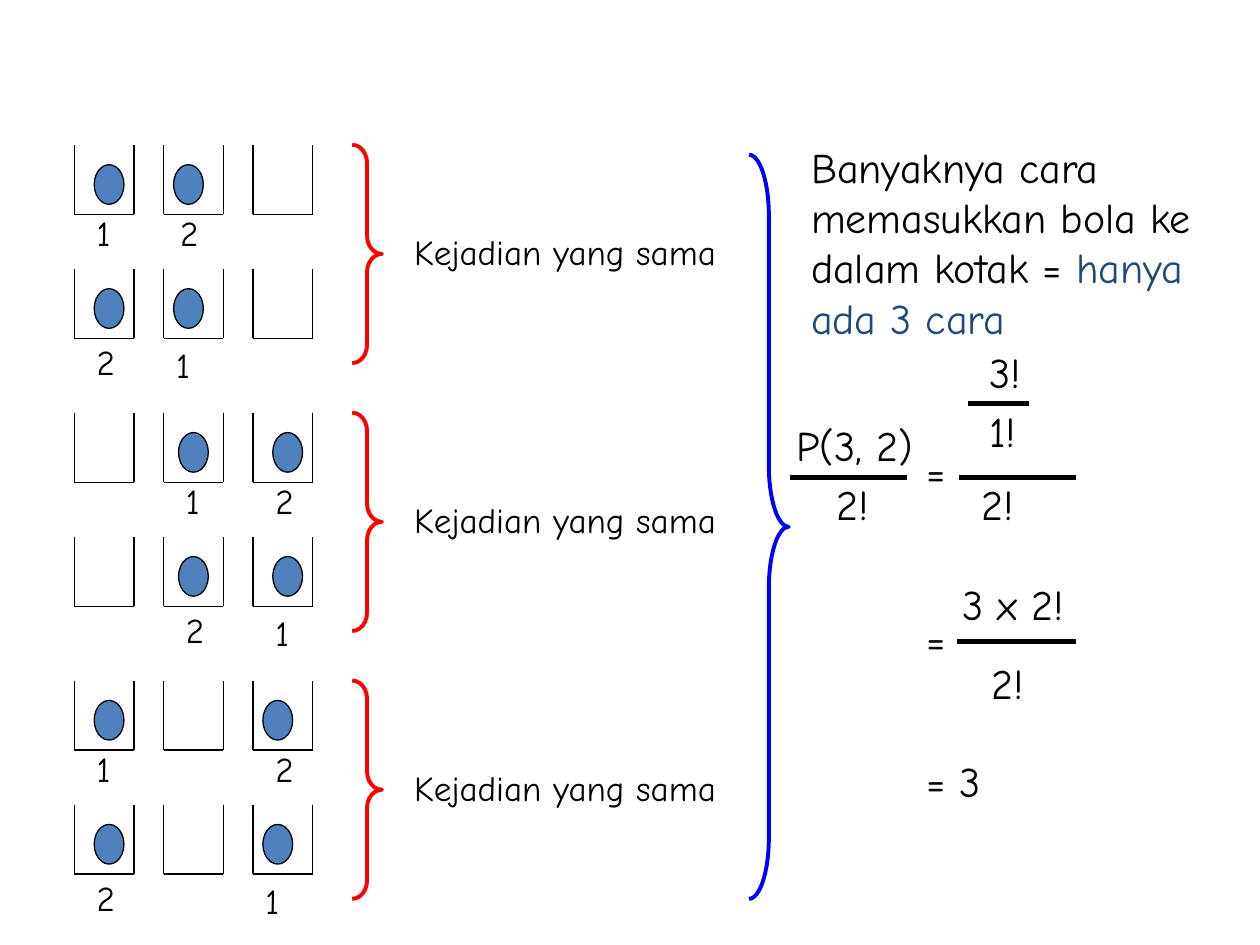
import pptx
import pptx.dml.color
import pptx.enum.shapes
import pptx.enum.text
import pptx.oxml.ns
import pptx.util
from lxml import etree

Cm = pptx.util.Cm
Pt = pptx.util.Pt
Shape = pptx.enum.shapes.MSO_SHAPE

THEME = {
    "font": "Comic Neue", "small": 20, "large": 24,
    "ink": "000000", "accent": "1F497D", "ball": "4F81BD",
    "inner_brace": "FF0000", "outer_brace": "0000FF",
    "thin": 0.75, "medium": 2.25, "thick": 3,
}

# Content: each event has the ball positions and, per row, (digit, left) labels
EVENTS = [
    {"balls": (1.9, 3.5),
     "rows": [[("1", 1.7), ("2", 3.38)], [("1", 3.3), ("2", 1.7)]]},
    {"balls": (3.6, 5.5),
     "rows": [[("1", 3.5), ("2", 5.3)], [("1", 5.3), ("2", 3.5)]]},
    {"balls": (1.9, 5.3),
     "rows": [[("1", 1.7), ("2", 5.3)], [("1", 5.1), ("2", 1.7)]]},
]
SAME_EVENT = "Kejadian yang sama"
CONCLUSION = [("Banyaknya cara memasukkan bola ke dalam kotak = ", "ink"),
              ("hanya ada 3 cara", "accent")]
# text, left, top, width
FORMULA = [
    ("P(3, 2)", 15.8, 8.33, 2.84), ("2!", 16.61, 9.53, 1.42),
    ("=", 18.42, 8.86, 0.89),
    ("3!", 19.69, 6.86, 1.14), ("1!", 19.69, 8.05, 1.32),
    ("2!", 19.53, 9.53, 1.42),
    ("=", 18.42, 12.24, 0.89),
    ("3 x 2!", 19.15, 11.53, 2.54), ("2!", 19.74, 13.13, 1.42),
    ("= 3", 18.42, 15.11, 1.6),
]
# left, right, height on the slide
FRACTION_BARS = [(15.93, 18.29, 9.63), (19.51, 20.75, 8.13),
                 (19.33, 21.69, 9.63), (19.3, 21.69, 12.93)]

# Grid, in centimetres
GRID_LEFT, GRID_TOP = 1.5, 2.92
EVENT_PITCH, ROW_PITCH, BOX_PITCH = 5.4, 2.5, 1.8
BOX_WIDTH, BOX_HEIGHT = 1.2, 1.4
BALL_OFFSET, BALL_WIDTH, BALL_HEIGHT = 0.4, 0.6, 0.8
LABEL_OFFSETS = [{"1": 1.22, "2": 1.22}, {"1": 1.38, "2": 1.32}]
LABEL_WIDTHS = {"1": 0.8, "2": 0.6}


def color(name):
    return pptx.dml.color.RGBColor.from_string(THEME[name])


def add_line(shapes, start, end, weight):
    line = shapes.add_connector(
        pptx.enum.shapes.MSO_CONNECTOR.STRAIGHT, *map(Cm, start + end))
    line.line.color.rgb = color("ink")
    line.line.width = Pt(THEME[weight])
    properties = line._element.spPr
    etree.SubElement(properties, pptx.oxml.ns.qn("a:effectLst"))


def add_text(slide, runs, box, size):
    frame = slide.shapes.add_textbox(*map(Cm, box)).text_frame
    frame.word_wrap = True
    frame.auto_size = pptx.enum.text.MSO_AUTO_SIZE.SHAPE_TO_FIT_TEXT
    for text, color_name in runs:
        run = frame.paragraphs[0].add_run()
        run.text = text
        run.font.name = THEME["font"]
        run.font.size = Pt(THEME[size])
        run.font.color.rgb = color(color_name)
    return frame


def add_open_box(slide, left, top):
    group = slide.shapes.add_group_shape()
    right, bottom = left + BOX_WIDTH, top + BOX_HEIGHT
    for start, end in [((left, top), (left, bottom)),
                       ((right, top), (right, bottom)),
                       ((left, bottom), (right, bottom))]:
        add_line(group.shapes, start, end, "thin")


def add_ball(slide, left, top):
    ball = slide.shapes.add_shape(
        Shape.OVAL, Cm(left), Cm(top), Cm(BALL_WIDTH), Cm(BALL_HEIGHT))
    ball.shadow.inherit = False
    ball.fill.solid()
    ball.fill.fore_color.rgb = color("ball")
    ball.line.color.rgb = color("ink")
    ball.line.width = Pt(THEME["thin"])


def add_brace(slide, box, curve, color_name):
    brace = slide.shapes.add_shape(Shape.RIGHT_BRACE, *map(Cm, box))
    brace.shadow.inherit = False
    brace.adjustments[0] = curve
    brace.fill.background()
    brace.line.color.rgb = color(color_name)
    brace.line.width = Pt(THEME["medium"])


def add_event(slide, event, top):
    for row, labels in enumerate(event["rows"]):
        row_top = top + row * ROW_PITCH
        for column in range(3):
            add_open_box(slide, GRID_LEFT + column * BOX_PITCH, row_top)
        for digit, left in labels:
            label_top = row_top + LABEL_OFFSETS[row][digit]
            add_text(slide, [(digit, "ink")],
                     (left, label_top, LABEL_WIDTHS[digit], 1.11), "small")
        for left in event["balls"]:
            add_ball(slide, left, row_top + BALL_OFFSET)
    add_brace(slide, (7.1, top, 0.6, 4.4), 0.61, "inner_brace")
    add_text(slide, [(SAME_EVENT, "ink")], (8.1, top + 1.6, 7, 1.11), "small")


def main():
    presentation = pptx.Presentation()
    presentation.slide_width, presentation.slide_height = Cm(25.4), Cm(19.05)
    slide = presentation.slides.add_slide(presentation.slide_layouts[6])

    # Boxes and balls
    for index, event in enumerate(EVENTS):
        add_event(slide, event, GRID_TOP + index * EVENT_PITCH)

    # Conclusion
    add_brace(slide, (15.1, 3.12, 0.8, 15), 1.54, "outer_brace")
    add_text(slide, CONCLUSION, (16.1, 2.72, 8.4, 4.32), "large")

    # Formula: no right inset, so each term stays on one line
    for text, left, top, width in FORMULA:
        frame = add_text(slide, [(text, "ink")], (left, top, width, 1.27), "large")
        frame.margin_right = 0
    for left, right, height in FRACTION_BARS:
        add_line(slide.shapes, (left, height), (right, height), "thick")

    presentation.save("out.pptx")


if __name__ == "__main__":
    main()
